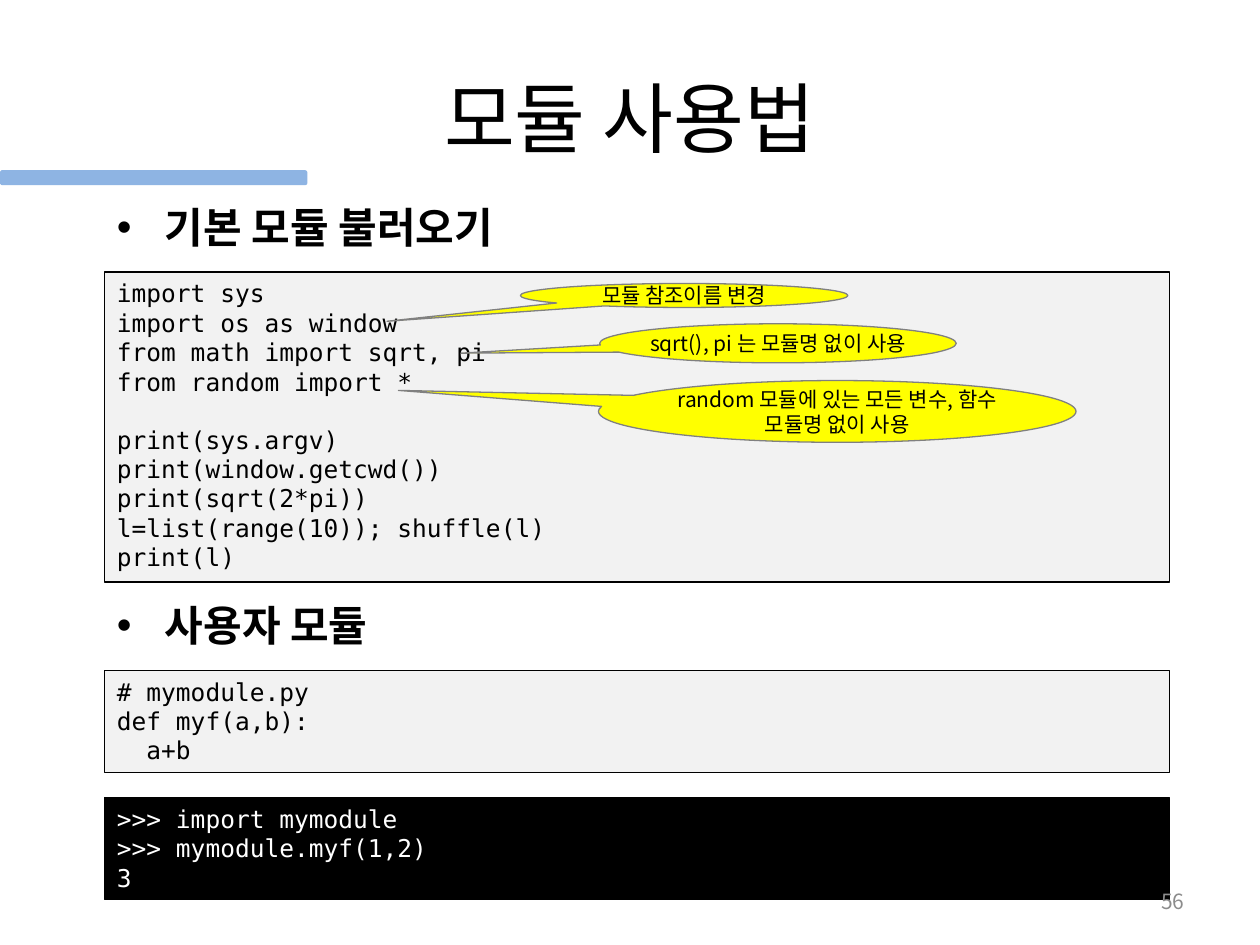
import dataclasses

import lxml.etree
import pptx
import pptx.dml.color
import pptx.enum.shapes
import pptx.enum.text
import pptx.oxml.ns
import pptx.util

Inches = pptx.util.Inches
Pt = pptx.util.Pt
Align = pptx.enum.text.PP_ALIGN
Anchor = pptx.enum.text.MSO_ANCHOR
Preset = pptx.enum.shapes.MSO_SHAPE

COLORS = {
    "black": "000000",
    "white": "FFFFFF",
    "code": "F2F2F2",
    "callout": "FFFF00",
    "outline": "808080",
    "number": "8C8C8C",
    "accent": "8EB4E3",
}
SANS = "Noto Sans CJK KR"
MONO = "DejaVu Sans Mono"
LEFT = 0.83
CODE_WIDTH = 8.45
LINE_HEIGHT = 1.17


@dataclasses.dataclass
class CodeBox:
    """A full-width listing."""
    top: float
    height: float
    text: str
    fill: str = "code"
    color: str = "black"


@dataclasses.dataclass
class Callout:
    """An elliptical speech bubble; tip is its pointer adjustment."""
    box: tuple[float, float, float, float]
    tip: tuple[float, float]
    text: str
    wrap: bool = False


@dataclasses.dataclass
class Heading:
    """A bulleted section heading."""
    top: float
    width: float
    text: str


CODE_BOXES = [
    CodeBox(2.16, 2.46, "import sys\nimport os as window\nfrom math import sqrt, pi\n"
            "from random import *\n\nprint(sys.argv)\nprint(window.getcwd())\n"
            "print(sqrt(2*pi))\nl=list(range(10)); shuffle(l)\nprint(l)"),
    CodeBox(5.32, 0.81, "# mymodule.py\ndef myf(a,b):\n  a+b"),
    CodeBox(6.33, 0.81, ">>> import mymodule\n>>> mymodule.myf(1,2)\n3", "black", "white"),
]
CALLOUTS = [
    Callout((4.13, 2.25, 2.6, 0.19), (-0.907, 1.077), "모듈 참조이름 변경", True),
    Callout((4.76, 2.57, 2.83, 0.31), (-0.889, 0.252), "sqrt(), pi 는 모듈명 없이 사용"),
    Callout((4.75, 3.02, 3.79, 0.49), (-0.919, -0.34),
            "random 모듈에 있는 모든 변수, 함수\n모듈명 없이 사용"),
]
HEADINGS = [
    Heading(1.55, 3.51, "기본 모듈 불러오기"),
    Heading(4.71, 2.38, "사용자 모듈"),
]


def rgb(name: str) -> pptx.dml.color.RGBColor:
    """Look up a named colour."""
    return pptx.dml.color.RGBColor.from_string(COLORS[name])


def add_bullet(paragraph) -> None:
    """Give a paragraph a bullet with a hanging indent."""
    properties = paragraph._p.get_or_add_pPr()
    properties.set("marL", str(Inches(0.38)))
    properties.set("indent", str(-Inches(0.38)))
    for tag, key, value in (("a:buFont", "typeface", "Arial"), ("a:buChar", "char", "•")):
        lxml.etree.SubElement(properties, pptx.oxml.ns.qn(tag)).set(key, value)


def write_text(shape, text: str, *, size: float, font: str = SANS, color: str = "black",
               bold: bool = False, align=Align.LEFT, anchor=Anchor.TOP,
               wrap: bool = True, bullet: bool = False) -> None:
    """Write one paragraph per line; an empty line becomes space before the next."""
    frame = shape.text_frame
    frame.word_wrap = wrap
    frame.vertical_anchor = anchor
    gap = 0.0
    paragraph = None
    for line in text.split("\n"):
        if not line:
            gap += size * LINE_HEIGHT
            continue
        paragraph = frame.add_paragraph() if paragraph is not None else frame.paragraphs[0]
        paragraph.alignment = align
        if gap:
            paragraph.space_before = Pt(round(gap, 1))
            gap = 0.0
        if bullet:
            add_bullet(paragraph)
        run = paragraph.add_run()
        run.text = line
        run.font.size = Pt(size)
        run.font.bold = bold
        run.font.name = font
        run.font.color.rgb = rgb(color)
        east_asian = lxml.etree.SubElement(run._r.get_or_add_rPr(), pptx.oxml.ns.qn("a:ea"))
        east_asian.set("typeface", font)


def add_box(slide, preset, box: tuple[float, float, float, float], fill: str,
            line: str | None = None):
    """Add a filled preset shape, outlined when a line colour is given."""
    shape = slide.shapes.add_shape(preset, *map(Inches, box))
    shape.shadow.inherit = False
    shape.fill.solid()
    shape.fill.fore_color.rgb = rgb(fill)
    if line is None:
        shape.line.fill.background()
    else:
        shape.line.color.rgb = rgb(line)
        shape.line.width = Pt(0.75)
    return shape


def add_label(slide, box: tuple[float, float, float, float], text: str, **text_format) -> None:
    """Add a text box."""
    write_text(slide.shapes.add_textbox(*map(Inches, box)), text, **text_format)


def add_code(slide, code: CodeBox) -> None:
    """Draw a listing."""
    shape = add_box(slide, Preset.RECTANGLE, (LEFT, code.top, CODE_WIDTH, code.height),
                    code.fill, "black")
    write_text(shape, code.text, size=14, font=MONO, color=code.color)


def add_callout(slide, callout: Callout) -> None:
    """Draw a speech bubble."""
    shape = add_box(slide, Preset.OVAL_CALLOUT, callout.box, "callout", "outline")
    for index, value in enumerate(callout.tip):
        shape.adjustments[index] = value
    write_text(shape, callout.text, size=12, align=Align.CENTER, anchor=Anchor.MIDDLE,
               wrap=callout.wrap)


def main() -> None:
    """Build and save the slide."""
    presentation = pptx.Presentation()
    presentation.slide_width = Inches(10)
    presentation.slide_height = Inches(7.5)
    slide = presentation.slides.add_slide(presentation.slide_layouts[6])

    add_box(slide, Preset.ROUNDED_RECTANGLE, (0, 1.35, 2.44, 0.12), "accent")
    add_label(slide, (0.5, 0.3, 9, 1.25), "모듈 사용법", size=44,
              align=Align.CENTER, anchor=Anchor.MIDDLE)
    for code in CODE_BOXES:
        add_code(slide, code)
    for callout in CALLOUTS:
        add_callout(slide, callout)
    for heading in HEADINGS:
        add_label(slide, (LEFT, heading.top, heading.width, 0.5), heading.text,
                  size=24, bold=True, wrap=False, bullet=True)
    add_label(slide, (7.17, 6.95, 2.33, 0.4), "56", size=12, color="number",
              align=Align.RIGHT, anchor=Anchor.MIDDLE)
    presentation.save("out.pptx")


main()
